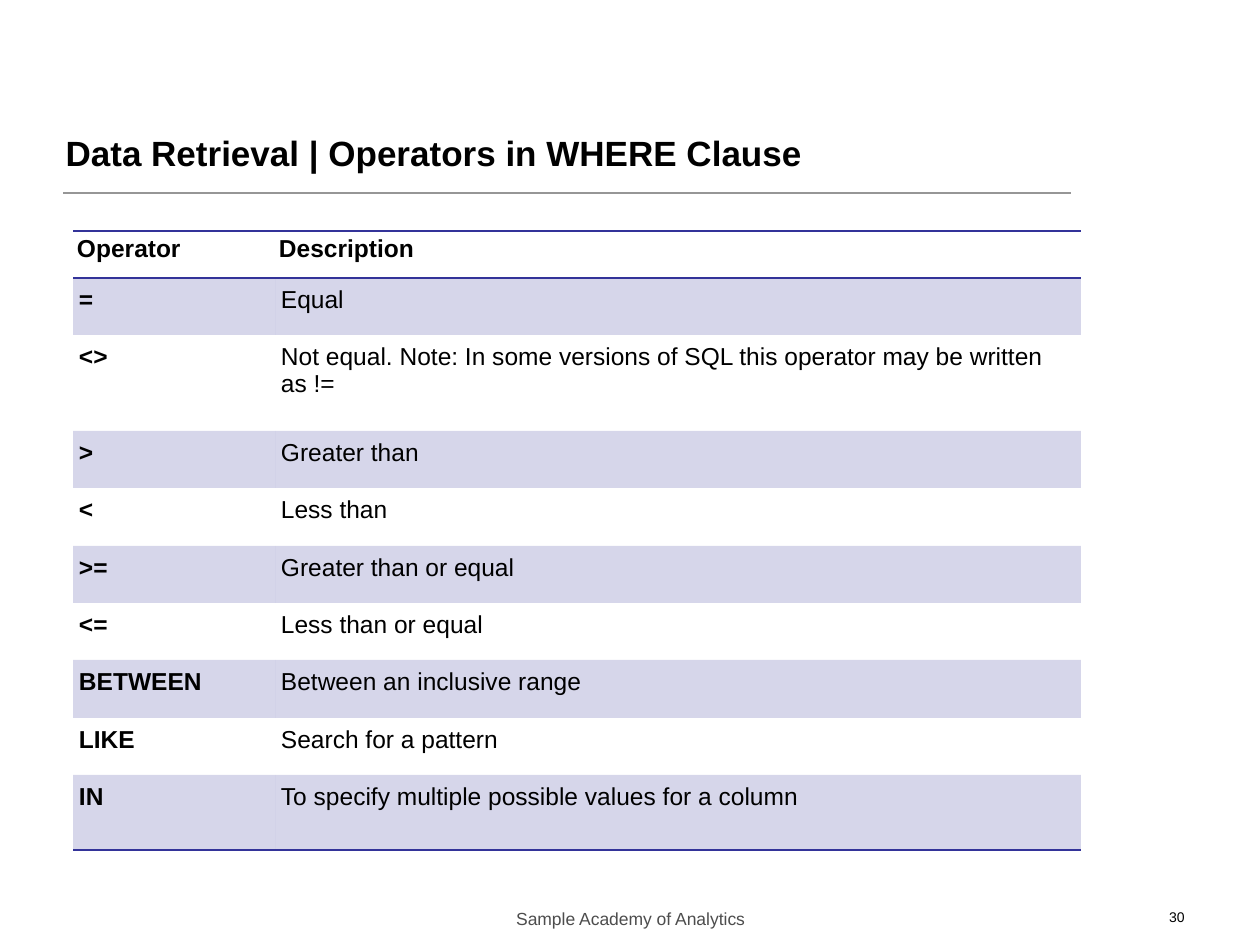
"""Build the slide on operators in the WHERE clause."""
from lxml.etree import SubElement
from pptx import Presentation
from pptx.dml.color import RGBColor
from pptx.enum.shapes import MSO_CONNECTOR
from pptx.enum.text import MSO_ANCHOR, PP_ALIGN
from pptx.oxml import parse_xml
from pptx.oxml.ns import nsdecls, qn
from pptx.util import Pt

BLACK = RGBColor(0x00, 0x00, 0x00)
GREY = RGBColor(0x4D, 0x4D, 0x4D)
RULE = RGBColor(0x96, 0x96, 0x96)
NAVY = RGBColor(0x33, 0x33, 0x99)
PLAIN = "{2D5ABB26-0587-4C30-8999-92F81FD0307C}"

TITLE = "Data Retrieval | Operators in WHERE Clause"
ROWS = [
    ("Operator", "Description", 47),
    ("=", "Equal", 57),
    ("<>", "Not equal. Note: In some versions of SQL this operator may be written as !=", 96),
    (">", "Greater than", 57),
    ("<", "Less than", 58),
    (">=", "Greater than or equal", 57),
    ("<=", "Less than or equal", 57),
    ("BETWEEN", "Between an inclusive range", 58),
    ("LIKE", "Search for a pattern", 57),
    ("IN", "To specify multiple possible values for a column", 75),
]
COLS = (202, 806)
NOTES = [
    ("Sample Academy of Analytics", (431, 902, 399, 32), 10, GREY, PP_ALIGN.CENTER),
    ("30", (903, 902, 294, 32), 8, BLACK, PP_ALIGN.RIGHT),
]


def px(num):
    return round(num * 914400 / 126)


def write(frame, text, size, color, bold=False, align=PP_ALIGN.LEFT):
    para = frame.paragraphs[0]
    para.alignment = align
    run = para.add_run()
    run.text = text
    font = run.font
    font.name, font.size, font.bold = "Arial", Pt(size), bold
    font.color.rgb = color


def edge(cell, sides):
    props = cell._tc.get_or_add_tcPr()
    for spot, side in enumerate(sides):
        props.insert(spot, parse_xml(
            f'<a:ln{side} {nsdecls("a")} w="12700"><a:solidFill>'
            f'<a:srgbClr val="{NAVY}"/></a:solidFill></a:ln{side}>'))


def tint(cell):
    cell.fill.solid()
    cell.fill.fore_color.rgb = NAVY
    color = cell._tc.tcPr.find(".//" + qn("a:srgbClr"))
    SubElement(color, qn("a:alpha")).set("val", "20000")


def add_grid(slide):
    high = sum(row[2] for row in ROWS)
    box = (73, 231, sum(COLS), high)
    grid = slide.shapes.add_table(len(ROWS), len(COLS), *map(px, box)).table
    grid._tbl.tblPr.find(qn("a:tableStyleId")).text = PLAIN
    grid.horz_banding = False
    for col, wide in zip(grid.columns, COLS):
        col.width = px(wide)
    for r, (*texts, tall) in enumerate(ROWS):
        grid.rows[r].height = px(tall)
        side, top = (4, 4) if r == 0 else (6, 8)
        for c, text in enumerate(texts):
            cell = grid.cell(r, c)
            cell.margin_left = cell.margin_right = px(side)
            cell.margin_top = cell.margin_bottom = px(top)
            write(cell.text_frame, text, 14, BLACK, r == 0 or c == 0)
            if r % 2:
                tint(cell)
            else:
                cell.fill.background()
            if r == 0:
                edge(cell, "TB")
            elif r == len(ROWS) - 1:
                edge(cell, "B")


def main():
    deck = Presentation()
    deck.slide_width, deck.slide_height = px(1260), px(945)
    slide = deck.slides.add_slide(deck.slide_layouts[5])

    line = slide.shapes.add_connector(
        MSO_CONNECTOR.STRAIGHT, px(63), px(193), px(1071), px(193))
    line.line.color.rgb = RULE
    line.line.width = Pt(0.75)
    SubElement(line._element.spPr, qn("a:effectLst"))

    for text, box, size, color, align in NOTES:
        frame = slide.shapes.add_textbox(*map(px, box)).text_frame
        frame.word_wrap = True
        write(frame, text, size, color, align=align)

    add_grid(slide)

    title = slide.shapes.title
    title.left, title.top, title.width, title.height = map(px, (53, 114, 872, 78))
    title.text_frame.vertical_anchor = MSO_ANCHOR.MIDDLE
    write(title.text_frame, TITLE, 20, BLACK, True)
    deck.save("out.pptx")


if __name__ == "__main__":
    main()
